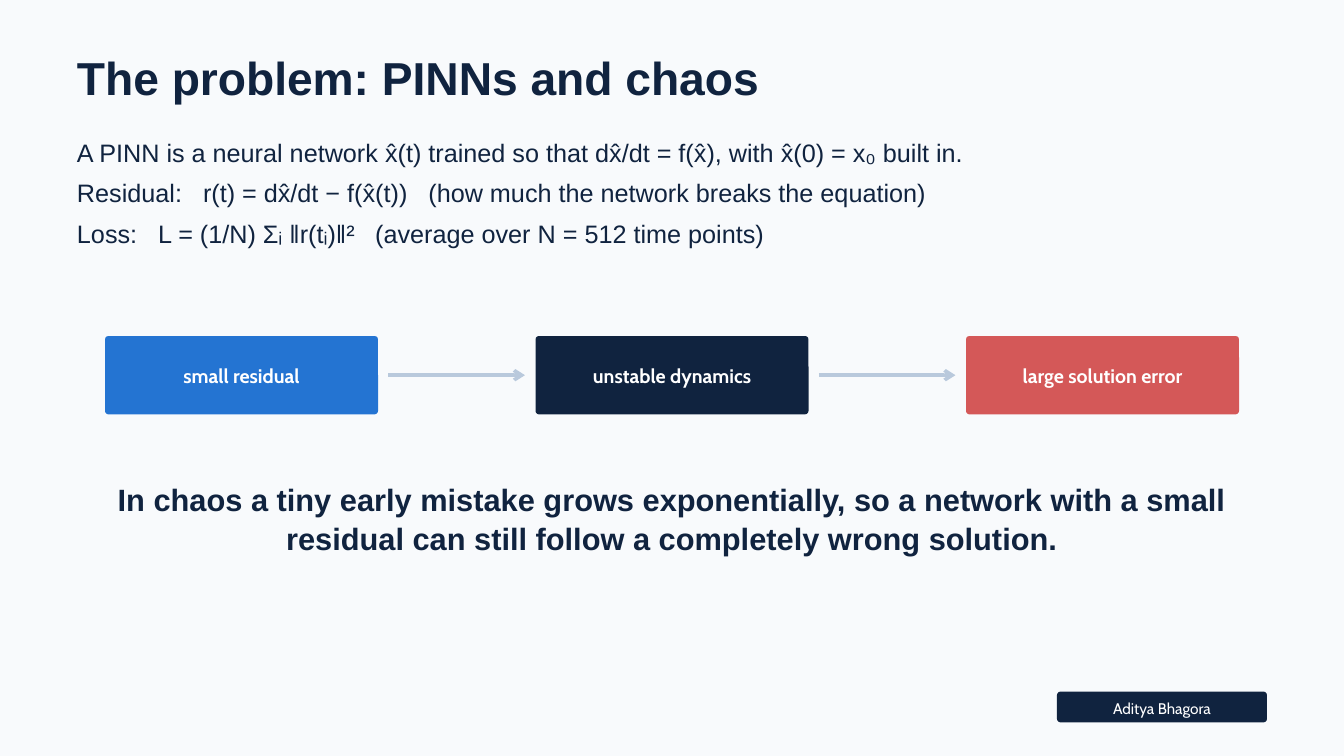
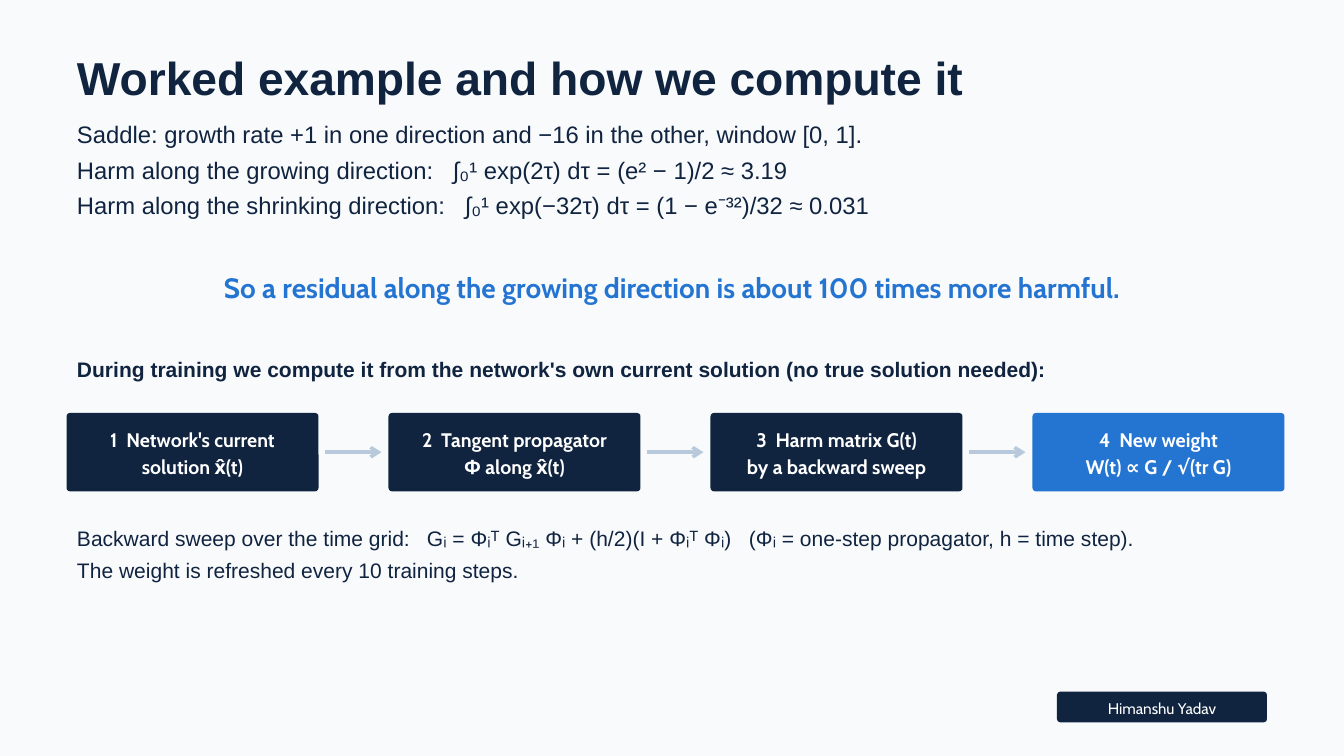
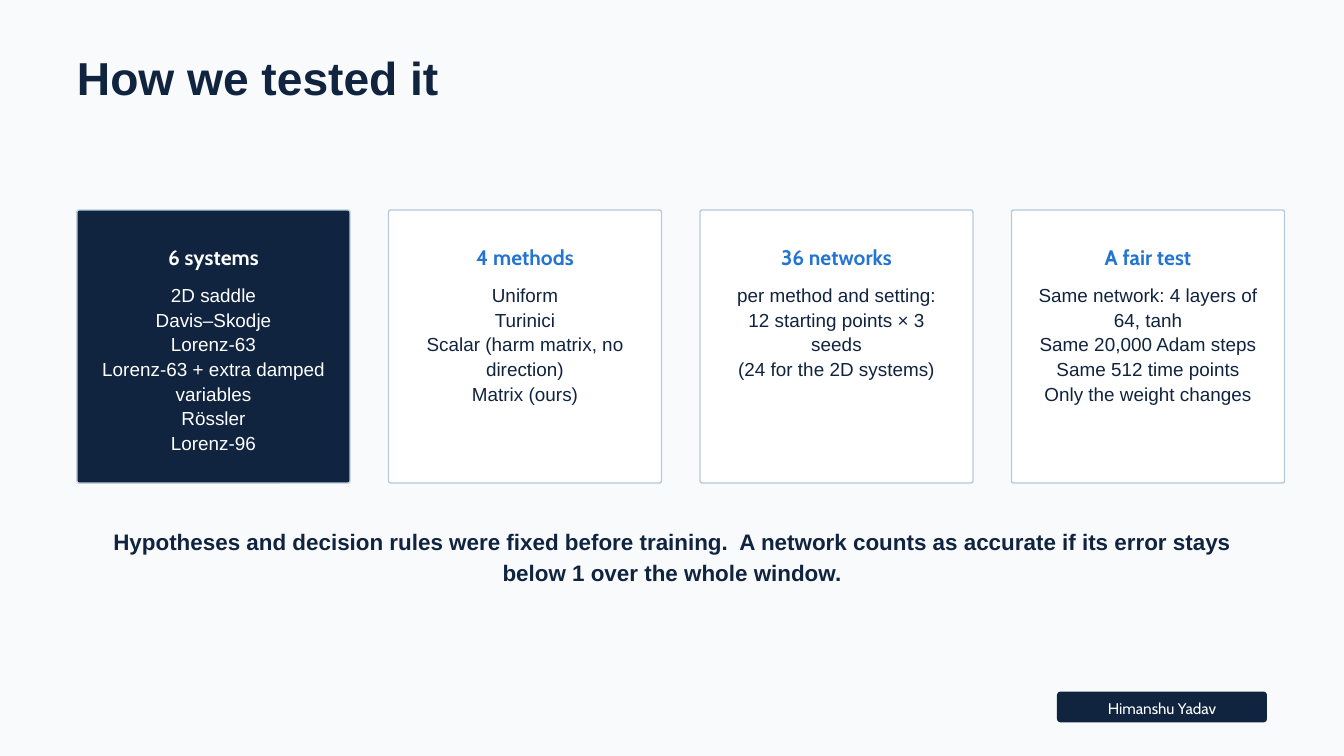
"""Build three slides on training physics-informed networks for chaotic systems."""
from lxml import etree
from pptx import Presentation, util as u
from pptx.dml.color import RGBColor
from pptx.enum import shapes, text
from pptx.oxml.ns import qn

PX = 9525
NAVY, BLUE, RED = "10233F", "2474D2", "D45858"
RULE, PAPER, WHITE = "B9C9DC", "F8FAFC", "FFFFFF"

# font, size, leading, bold, centred
STYLES = {
    "title": ("Arial", 49.5, 69.3, True, False),
    "intro": ("Arial", 27, 43.2, False, False),
    "sums": ("Arial", 25.5, 38.25, False, False),
    "lead": ("Arial", 22.5, 31.5, True, False),
    "note": ("Arial", 22.5, 33.75, False, False),
    "claim": ("Arial", 33, 41.25, True, True),
    "rules": ("Arial", 24, 32.4, True, True),
    "result": ("Cabin", 30, 40.5, True, True),
    "step": ("Cabin", 21, 29.4, True, True),
    "head": ("Cabin", 22.5, 31.5, True, True),
    "item": ("Arial", 20.25, 26.33, False, True),
    "name": ("Cabin", 16.5, 23.1, False, True),
}

# each line of text: wording, then tab stops in px
SLIDES = [
    {
        "title": "The problem: PINNs and chaos",
        "name": "Aditya Bhagora",
        "texts": [
            ("intro", (110, 182, 1700, 170), NAVY, [
                ("A PINN is a neural network x̂(t) trained so that dx̂/dt = f(x̂), with x̂(0) = x₀ built in.",),
                ("Residual:\tr(t) = dx̂/dt − f(x̂(t))\t(how much the network breaks the equation)", 180, 502),
                ("Loss:\tL = (1/N) Σᵢ ‖r(tᵢ)‖²\t(average over N = 512 time points)", 116, 426),
            ]),
            ("claim", (160, 685, 1600, 113), NAVY, [
                ("In chaos a tiny early mistake grows exponentially, so a network with a small residual can still follow a completely wrong solution.",),
            ]),
        ],
        "flow": {
            "left": 150, "top": 480, "wide": 390, "pitch": 615, "gap": 15,
            "steps": [
                (BLUE, ["small residual"]),
                (NAVY, ["unstable dynamics"]),
                (RED, ["large solution error"]),
            ],
        },
    },
    {
        "title": "Worked example and how we compute it",
        "name": "Himanshu Yadav",
        "texts": [
            ("sums", (110, 161, 1700, 152), NAVY, [
                ("Saddle: growth rate +1 in one direction and −16 in the other, window [0, 1].",),
                ("Harm along the growing direction:\t∫₀¹ exp(2τ) dτ = (e² − 1)/2 ≈ 3.19", 537),
                ("Harm along the shrinking direction:\t∫₀¹ exp(−32τ) dτ = (1 − e⁻³²)/32 ≈ 0.031", 554),
            ]),
            ("result", (110, 380, 1700, 53), BLUE, [
                ("So a residual along the growing direction is about 100 times more harmful.",),
            ]),
            ("lead", (110, 504, 1700, 42), NAVY, [
                ("During training we compute it from the network's own current solution (no true solution needed):",),
            ]),
            ("note", (110, 742, 1700, 89), NAVY, [
                ("Backward sweep over the time grid:\tGᵢ = Φᵢᵀ Gᵢ₊₁ Φᵢ + (h/2)(I + Φᵢᵀ Φᵢ)\t(Φᵢ = one-step propagator, h = time step).", 500, 960),
                ("The weight is refreshed every 10 training steps.",),
            ]),
        ],
        "flow": {
            "left": 95, "top": 590, "wide": 360, "pitch": 460, "gap": 10,
            "steps": [
                (NAVY, ["1  Network's current", "solution x̂(t)"]),
                (NAVY, ["2  Tangent propagator", "Φ along x̂(t)"]),
                (NAVY, ["3  Harm matrix G(t)", "by a backward sweep"]),
                (BLUE, ["4  New weight", "W(t) ∝ G / √(tr G)"]),
            ],
        },
    },
    {
        "title": "How we tested it",
        "name": "Himanshu Yadav",
        "texts": [
            ("rules", (160, 750, 1600, 86), NAVY, [
                ("Hypotheses and decision rules were fixed before training.  A network counts as accurate if its error stays below 1 over the whole window.",),
            ]),
        ],
        "cards": [
            ("6 systems", ["2D saddle", "Davis–Skodje", "Lorenz-63",
                           "Lorenz-63 + extra damped variables", "Rössler", "Lorenz-96"]),
            ("4 methods", ["Uniform", "Turinici", "Scalar (harm matrix, no direction)",
                           "Matrix (ours)"]),
            ("36 networks", ["per method and setting:", "12 starting points × 3 seeds",
                             "(24 for the 2D systems)"]),
            ("A fair test", ["Same network: 4 layers of 64, tanh", "Same 20,000 Adam steps",
                             "Same 512 time points", "Only the weight changes"]),
        ],
    },
]


def px(*nums):
    return [u.Emu(round(n * PX)) for n in nums]


def color(code):
    return RGBColor.from_string(code)


def set_frame(frame, pads=(0, 0, 0, 0), anchor=text.MSO_ANCHOR.TOP):
    frame.word_wrap = True
    frame.vertical_anchor = anchor
    (frame.margin_left, frame.margin_top,
     frame.margin_right, frame.margin_bottom) = px(*pads)


def write(frame, style, ink, lines, before=0):
    font, size, lead, bold, mid = STYLES[style]
    for i, (words, *stops) in enumerate(lines):
        first = frame.paragraphs[0]
        para = first if not first.runs else frame.add_paragraph()
        if stops:
            tabs = etree.SubElement(para._p.get_or_add_pPr(), qn("a:tabLst"))
            for stop in stops:
                etree.SubElement(tabs, qn("a:tab"), pos=str(stop * PX), algn="l")
        para.alignment = text.PP_ALIGN.CENTER if mid else text.PP_ALIGN.LEFT
        para.line_spacing = u.Pt(lead)
        if before and i == 0:
            para.space_before = u.Pt(before)
        run = para.add_run()
        run.text = words
        run.font.name, run.font.size, run.font.bold = font, u.Pt(size), bold
        run.font.color.rgb = color(ink)


def add_text(slide, style, box, ink, lines):
    frame = slide.shapes.add_textbox(*px(*box)).text_frame
    set_frame(frame)
    write(frame, style, ink, lines)


def add_panel(slide, box, fill, curve, edge=None):
    panel = slide.shapes.add_shape(shapes.MSO_SHAPE.ROUNDED_RECTANGLE, *px(*box))
    panel.adjustments[0] = curve / min(box[2:])
    panel.shadow.inherit = False
    panel.fill.solid()
    panel.fill.fore_color.rgb = color(fill)
    if edge:
        panel.line.color.rgb = color(edge)
        panel.line.width = u.Pt(1.5)
    else:
        panel.line.fill.background()
    return panel.text_frame


def add_arrow(slide, start, end, y):
    arrow = slide.shapes.add_connector(shapes.MSO_CONNECTOR.STRAIGHT, *px(start, y, end, y))
    arrow.line.color.rgb = color(RULE)
    arrow.line.width = u.Pt(3.75)
    etree.SubElement(arrow.line._get_or_add_ln(), qn("a:tailEnd"), type="arrow")
    etree.SubElement(arrow._element.spPr, qn("a:effectLst"))


def add_flow(slide, left, top, wide, pitch, gap, steps):
    high = 112
    for i, (fill, lines) in enumerate(steps):
        x = left + i * pitch
        frame = add_panel(slide, (x, top, wide, high), fill, 5)
        set_frame(frame, (6, 6, 6, 9), text.MSO_ANCHOR.MIDDLE)
        write(frame, "step", WHITE, [(line,) for line in lines])
        if i < len(steps) - 1:
            add_arrow(slide, x + wide + gap, x + pitch - gap, top + high / 2)


def add_cards(slide, cards):
    for i, (head, items) in enumerate(cards):
        fill, top_ink, ink = (WHITE, BLUE, NAVY) if i else (NAVY, WHITE, WHITE)
        frame = add_panel(slide, (110 + i * 445, 300, 390, 390), fill, 3, RULE)
        set_frame(frame, (35, 42, 35, 0))
        write(frame, "head", top_ink, [(head,)])
        write(frame, "item", ink, [(item,) for item in items], before=13.5)


def add_slide(deck, page):
    slide = deck.slides.add_slide(deck.slide_layouts[6])
    slide.background.fill.solid()
    slide.background.fill.fore_color.rgb = color(PAPER)
    add_text(slide, "title", (110, 57, 1700, 92), NAVY, [(page["title"],)])
    if "flow" in page:
        add_flow(slide, **page["flow"])
    add_cards(slide, page.get("cards", []))
    for block in page["texts"]:
        add_text(slide, *block)
    badge = add_panel(slide, (1510, 988, 300, 44), NAVY, 5)
    set_frame(badge, (20, 5, 20, 0))
    write(badge, "name", WHITE, [(page["name"],)])


def main():
    deck = Presentation()
    deck.slide_width, deck.slide_height = px(1920, 1080)
    for page in SLIDES:
        add_slide(deck, page)
    deck.save("out.pptx")


if __name__ == "__main__":
    main()
